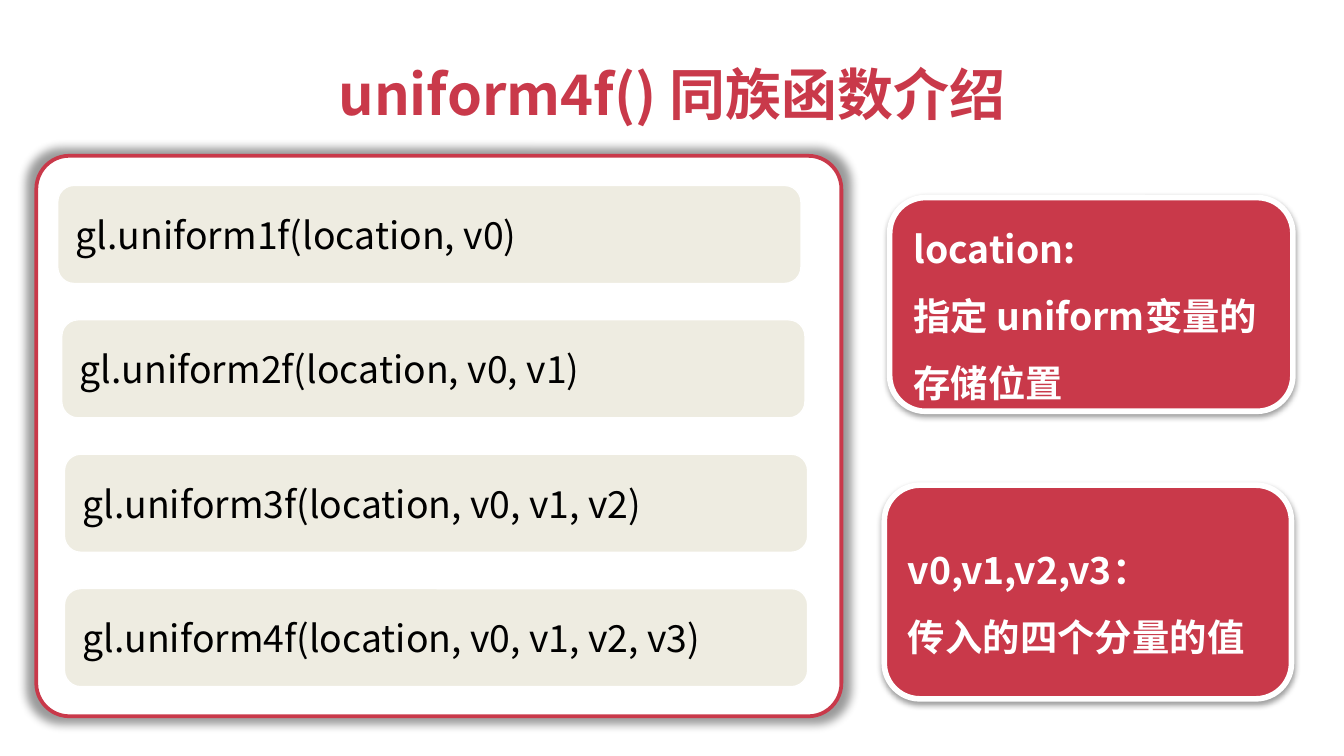
from dataclasses import dataclass

from lxml import etree
from pptx import Presentation
from pptx.dml.color import RGBColor
from pptx.enum.shapes import MSO_SHAPE as Preset
from pptx.enum.text import MSO_ANCHOR as Anchor, MSO_AUTO_SIZE as AutoSize, PP_ALIGN as Align
from pptx.oxml.ns import qn
from pptx.util import Inches, Pt

FONT = "Noto Sans CJK SC"
RED, WHITE, BLACK, BEIGE = "C9394A", "FFFFFF", "000000", "EEECE1"


@dataclass
class Shadow:
    opacity: int  # percent
    blur: float  # points
    distance: float = 0  # points
    angle: int = 0  # degrees
    scale: int = 100  # percent


@dataclass
class Card:
    left: float
    top: float
    width: float
    height: float
    lines: tuple[str, ...] = ()
    fill: str = RED
    edge: str = WHITE
    edge_width: float = 3
    corner: float = 0.167
    shadow: Shadow | None = None


def color(value: str) -> RGBColor:
    return RGBColor.from_string(value)


def write(para, text: str, *, size: float = 20, ink: str = BLACK, bold: bool = False,
          align=Align.LEFT, spacing: float = 1.0) -> None:
    para.alignment = align
    para.line_spacing = spacing
    span = para.add_run()
    span.text = text
    font = span.font
    font.name, font.size, font.bold = FONT, Pt(size), bold
    font.color.rgb = color(ink)
    # East Asian glyphs take their own font entry
    east = etree.SubElement(span._r.get_or_add_rPr(), qn("a:ea"))
    east.set("typeface", FONT)


def add_shadow(shape, shadow: Shadow) -> None:
    effects = shape._element.spPr.find(qn("a:effectLst"))
    scale = str(shadow.scale * 1000)
    outer = etree.SubElement(effects, qn("a:outerShdw"), {
        "blurRad": str(Pt(shadow.blur)), "dist": str(Pt(shadow.distance)),
        "dir": str(shadow.angle * 60000), "sx": scale, "sy": scale,
        "algn": "ctr", "rotWithShape": "0"})
    tint = etree.SubElement(outer, qn("a:srgbClr"), val=BLACK)
    etree.SubElement(tint, qn("a:alpha"), val=str(shadow.opacity * 1000))


def add_card(page, card: Card, **text_format) -> None:
    box = page.shapes.add_shape(Preset.ROUNDED_RECTANGLE, Inches(card.left), Inches(card.top),
                                Inches(card.width), Inches(card.height))
    box.adjustments[0] = card.corner
    box.fill.solid()
    box.fill.fore_color.rgb = color(card.fill)
    box.line.color.rgb = color(card.edge)
    box.line.width = Pt(card.edge_width)
    box.shadow.inherit = False
    if card.shadow:
        add_shadow(box, card.shadow)
    frame = box.text_frame
    frame.word_wrap = True
    frame.vertical_anchor = Anchor.MIDDLE
    for index, line in enumerate(card.lines):
        para = frame.add_paragraph() if index else frame.paragraphs[0]
        write(para, line, **text_format)


def add_title(page, text: str) -> None:
    title = page.shapes.title
    title.left, title.top = Inches(2.34), Inches(0.39)
    title.width, title.height = Inches(5.32), Inches(0.61)
    frame = title.text_frame
    frame.word_wrap = False
    frame.auto_size = AutoSize.NONE
    frame.vertical_anchor = Anchor.MIDDLE
    write(frame.paragraphs[0], text, size=30, ink=RED, bold=True, align=Align.CENTER)


def main() -> None:
    # Widescreen page, 16:9
    deck = Presentation()
    deck.slide_width = Inches(10)
    deck.slide_height = deck.slide_width * 9 // 16
    page = deck.slides.add_slide(deck.slide_layouts[5])
    add_title(page, "uniform4f() 同族函数介绍")

    # Panel behind the function list
    add_card(page, Card(0.27, 1.16, 5.99, 4.17, fill=WHITE, edge=RED, edge_width=2,
                        corner=0.059, shadow=Shadow(40, 5, scale=102)))

    # One row per function, each with one more argument
    for index, left in enumerate((0.43, 0.46, 0.48, 0.48)):
        values = ", ".join(f"v{number}" for number in range(index + 1))
        call = f"gl.uniform{index + 1}f(location, {values})"
        add_card(page, Card(left, 1.38 + index, 5.53, 0.73, (call,),
                            fill=BEIGE, edge_width=0.75))

    # Parameter notes
    soft = Shadow(38, 3.1, 1.6, 90)
    notes = (
        Card(6.62, 1.47, 3, 1.59, ("location:", "指定 uniform变量的存储位置"), shadow=soft),
        Card(6.58, 3.61, 3.03, 1.59, ("v0,v1,v2,v3：", "传入的四个分量的值"), shadow=soft),
    )
    for note in notes:
        add_card(page, note, ink=WHITE, bold=True, spacing=1.5)

    deck.save("out.pptx")


if __name__ == "__main__":
    main()
